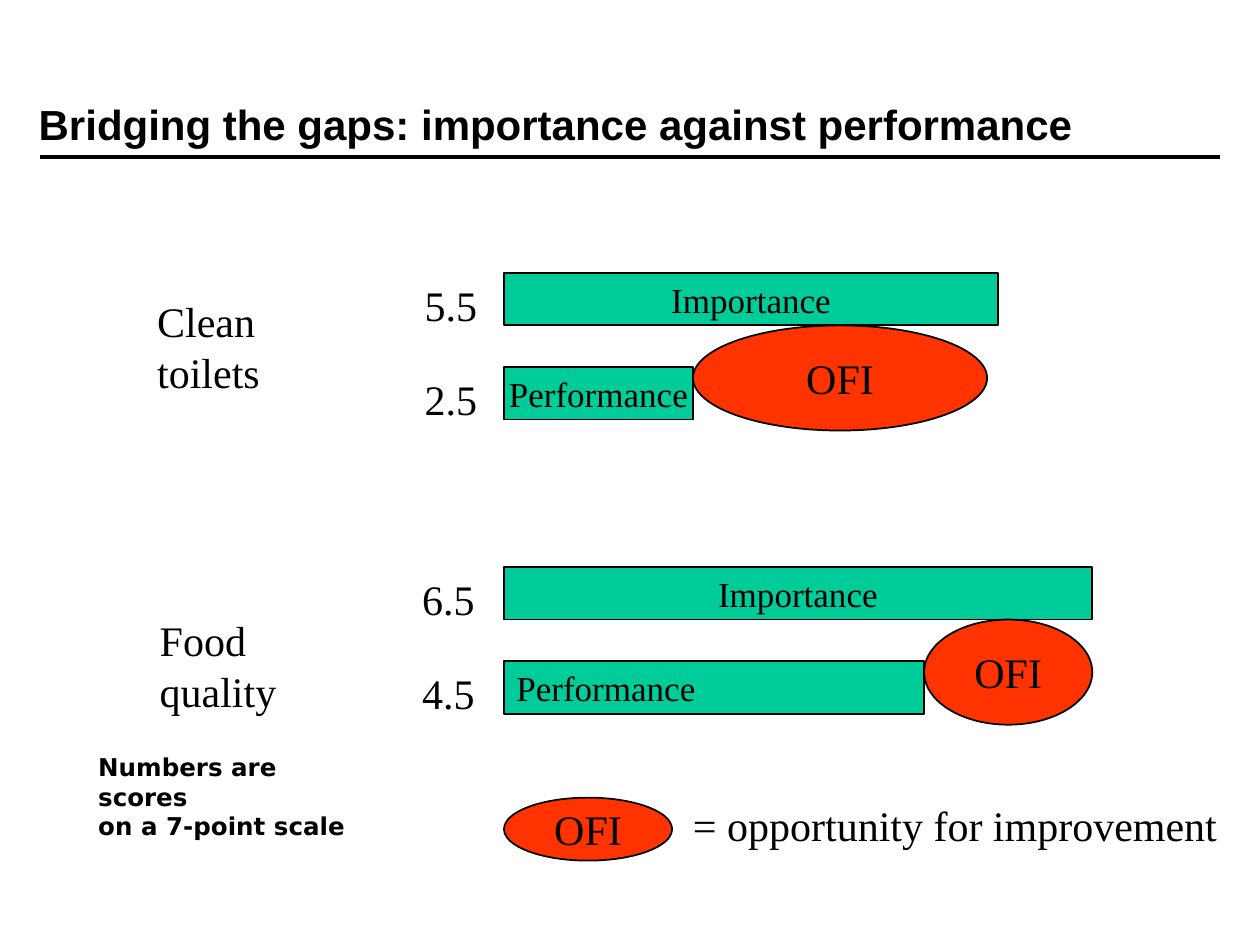
from lxml import etree
from pptx import Presentation
from pptx.dml.color import RGBColor
from pptx.enum.shapes import MSO_CONNECTOR, MSO_SHAPE
from pptx.enum.text import MSO_ANCHOR, PP_ALIGN
from pptx.oxml.ns import qn
from pptx.util import Cm, Pt

LEFT, CENTER = PP_ALIGN.LEFT, PP_ALIGN.CENTER
TOP, MIDDLE = MSO_ANCHOR.TOP, MSO_ANCHOR.MIDDLE
RECTANGLE, OVAL = MSO_SHAPE.RECTANGLE, MSO_SHAPE.OVAL
STRAIGHT = MSO_CONNECTOR.STRAIGHT

COLORS = {"text": "000000", "bar": "00CC99", "gap": "FF3300"}
SERIF, SANS, NOTE_FONT = "Times New Roman", "Arial", "DejaVu Sans"

# Content; lengths in centimetres
TITLE = "Bridging the gaps: importance against performance"
GAP = "OFI"
GAP_MEANING = "= opportunity for improvement"
NOTE = ["Numbers are scores", "on a 7-point scale"]
TOPICS = [
    {"name": "Clean toilets", "name_at": (2.92, 5.84, 4.75), "top": 5.5,
     "score_left": 8.31, "gap_width": 5.93,
     "bars": [("Importance", "5.5", 9.96, CENTER),
              ("Performance", "2.5", 3.81, CENTER)]},
    {"name": "Food quality", "name_at": (2.97, 12.27, 4.8), "top": 11.43,
     "score_left": 8.26, "gap_width": 3.39,
     "bars": [("Importance", "6.5", 11.85, CENTER),
              ("Performance", "4.5", 8.47, LEFT)]},
]
BAR_LEFT, BAR_HEIGHT, BAR_PITCH = 10.16, 1.06, 1.9
GAP_HEIGHT = 2 * BAR_HEIGHT
TEXT_HEIGHT = 1.27


def color(name):
    return RGBColor.from_string(COLORS[name])


def write(frame, lines, size, font=SERIF, bold=False, align=LEFT,
          anchor=TOP, wrap=False):
    frame.word_wrap = wrap
    frame.vertical_anchor = anchor
    for index, line in enumerate(lines):
        para = frame.paragraphs[0] if index == 0 else frame.add_paragraph()
        para.alignment = align
        span = para.add_run()
        span.text = line
        span.font.size = Pt(size)
        span.font.name = font
        span.font.bold = bold
        span.font.color.rgb = color("text")


def add_text(page, lines, left, top, width, height=TEXT_HEIGHT, size=24, **style):
    box = page.shapes.add_textbox(Cm(left), Cm(top), Cm(width), Cm(height))
    write(box.text_frame, lines, size, **style)


def add_block(page, kind, fill, text, left, top, width, height, size, align=CENTER):
    block = page.shapes.add_shape(kind, Cm(left), Cm(top), Cm(width), Cm(height))
    block.shadow.inherit = False
    block.fill.solid()
    block.fill.fore_color.rgb = color(fill)
    block.line.color.rgb = color("text")
    block.line.width = Pt(1)
    write(block.text_frame, [text], size, align=align, anchor=MIDDLE)


def add_rule(page, left, right, y):
    rule = page.shapes.add_connector(STRAIGHT, Cm(left), Cm(y), Cm(right), Cm(y))
    rule.line.color.rgb = color("text")
    rule.line.width = Pt(2)
    etree.SubElement(rule._element.spPr, qn("a:effectLst"))


def add_topic(page, topic):
    add_text(page, [topic["name"]], *topic["name_at"])
    for index, (label, score, width, align) in enumerate(topic["bars"]):
        top = topic["top"] + index * BAR_PITCH
        add_block(page, RECTANGLE, "bar", label, BAR_LEFT, top, width,
                  BAR_HEIGHT, 20, align)
        add_text(page, [score], topic["score_left"], top, 1.63)
    # The gap starts where the performance bar ends, below the importance bar
    performance_width = topic["bars"][1][2]
    add_block(page, OVAL, "gap", GAP, BAR_LEFT + performance_width,
              topic["top"] + BAR_HEIGHT, topic["gap_width"], GAP_HEIGHT, 24)


def main():
    deck = Presentation()
    deck.slide_width, deck.slide_height = Cm(25.4), Cm(19.05)
    page = deck.slides.add_slide(deck.slide_layouts[6])

    # Heading
    add_rule(page, 0.81, 24.59, 3.17)
    add_text(page, [TITLE], 0.53, 1.9, 24.23, 1.2, font=SANS, bold=True,
             anchor=MIDDLE, wrap=True)

    # Bars, scores and gaps
    for topic in TOPICS:
        add_topic(page, topic)

    # Key and note
    add_block(page, OVAL, "gap", GAP, BAR_LEFT, 16.08, 3.39, 1.27, 24)
    add_text(page, [GAP_MEANING], 13.72, 16, 11.07)
    add_text(page, NOTE, 1.73, 15.04, 5.56, 1.45, size=14, font=NOTE_FONT,
             bold=True, wrap=True)

    deck.save("out.pptx")


if __name__ == "__main__":
    main()
